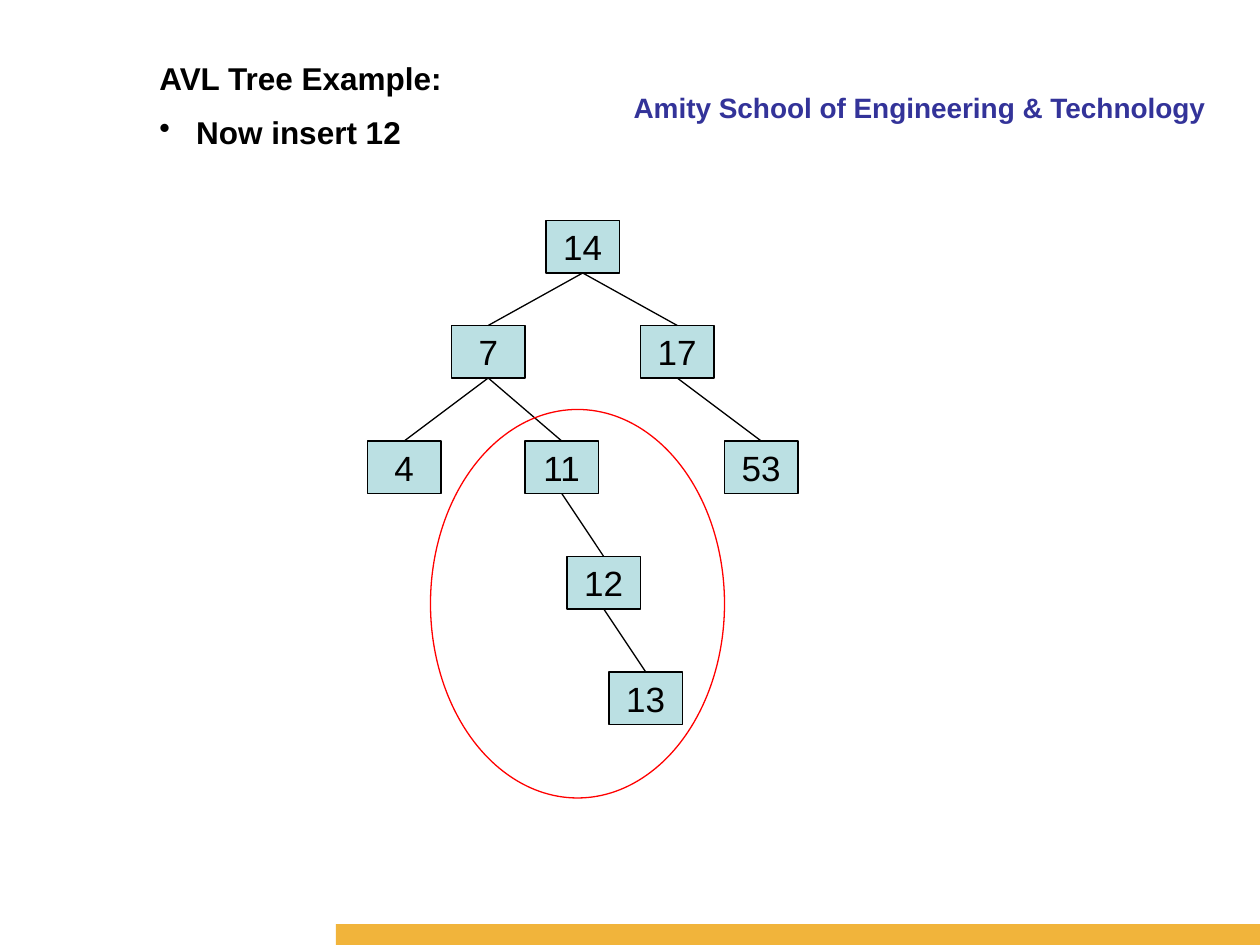
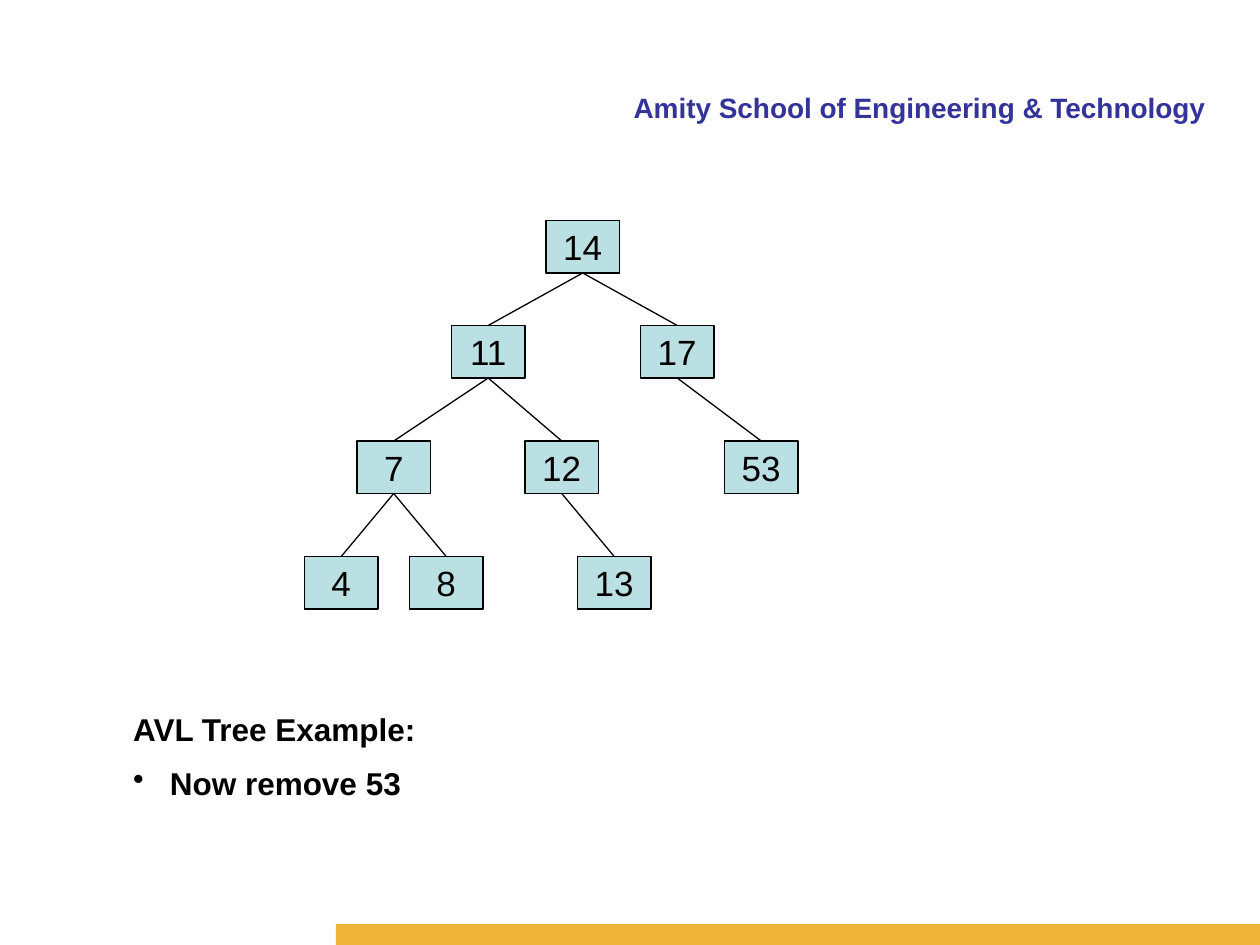
from dataclasses import dataclass

from lxml import etree
from pptx import Presentation
from pptx.dml.color import RGBColor
from pptx.enum.shapes import MSO_CONNECTOR, MSO_SHAPE
from pptx.enum.text import MSO_ANCHOR, PP_ALIGN
from pptx.oxml.ns import qn
from pptx.util import Emu, Pt

RECTANGLE = MSO_SHAPE.RECTANGLE
OVAL = MSO_SHAPE.OVAL
STRAIGHT = MSO_CONNECTOR.STRAIGHT
TOP = MSO_ANCHOR.TOP
MIDDLE = MSO_ANCHOR.MIDDLE
LEFT = PP_ALIGN.LEFT
CENTER = PP_ALIGN.CENTER
RIGHT = PP_ALIGN.RIGHT
BOTTOM_SIDE, TOP_SIDE = 2, 0

EMU_PER_PX = 7620
PAGE_WIDTH, PAGE_HEIGHT = 1200, 900
NODE_WIDTH, NODE_HEIGHT = 70, 50
LEVEL_TOPS = (210, 310, 420, 530, 640)
BULLET_INDENT = 35


@dataclass(frozen=True)
class Theme:
    font: str = "Arial"
    school: str = "333399"
    band: str = "F1B43B"
    node: str = "BBE0E3"
    ink: str = "000000"
    highlight: str = "FF0000"
    school_size: int = 16
    caption_size: int = 18
    node_size: int = 20
    caption_gap: float = 9.5
    line_width: float = 0.75


def px(length):
    return Emu(length * EMU_PER_PX)


def rgb(colour):
    return RGBColor.from_string(colour)


class TreeDeck:
    def __init__(self, theme):
        self.theme = theme
        self.deck = Presentation()
        self.deck.slide_width = px(PAGE_WIDTH)
        self.deck.slide_height = px(PAGE_HEIGHT)
        self.page = None

    def add_page(self):
        self.page = self.deck.slides.add_slide(self.deck.slide_layouts[6])
        header = self.text_box(490, 80, 670, 40)
        header.text = "Amity School of Engineering & Technology"
        self.style_text(header, self.theme.school_size, self.theme.school, True, RIGHT)
        self.shape(RECTANGLE, 320, 880, 880, 20, fill=self.theme.band)

    def text_box(self, left, top, width, height):
        box = self.page.shapes.add_textbox(px(left), px(top), px(width), px(height))
        box.text_frame.word_wrap = True
        box.text_frame.vertical_anchor = TOP
        return box.text_frame

    def style_text(self, frame, size, colour, bold, alignment):
        for para in frame.paragraphs:
            para.alignment = alignment
            for span in para.runs:
                span.font.name = self.theme.font
                span.font.size = Pt(size)
                span.font.bold = bold
                span.font.color.rgb = rgb(colour)

    def shape(self, kind, left, top, width, height, fill=None, line=None):
        shape = self.page.shapes.add_shape(kind, px(left), px(top), px(width), px(height))
        shape.shadow.inherit = False
        if fill:
            shape.fill.solid()
            shape.fill.fore_color.rgb = rgb(fill)
        else:
            shape.fill.background()
        if line:
            shape.line.color.rgb = rgb(line)
            shape.line.width = Pt(self.theme.line_width)
        else:
            shape.line.fill.background()
        return shape

    def caption(self, left, top, step):
        frame = self.text_box(left, top, 940, 102)
        frame.text = "AVL Tree Example:"
        para = frame.add_paragraph()
        para.text = step
        para.space_before = Pt(self.theme.caption_gap)
        properties = para._p.get_or_add_pPr()
        properties.set("marL", str(px(BULLET_INDENT)))
        properties.set("indent", str(-px(BULLET_INDENT)))
        etree.SubElement(properties, qn("a:buChar"), char="•")
        self.style_text(frame, self.theme.caption_size, self.theme.ink, True, LEFT)

    def node(self, value, left, level):
        node = self.shape(RECTANGLE, left, LEVEL_TOPS[level], NODE_WIDTH, NODE_HEIGHT,
                          self.theme.node, self.theme.ink)
        frame = node.text_frame
        frame.text = str(value)
        frame.word_wrap = False
        frame.vertical_anchor = MIDDLE
        self.style_text(frame, self.theme.node_size, self.theme.ink, False, CENTER)
        return node

    def edge(self, parent, child):
        edge = self.page.shapes.add_connector(STRAIGHT, 0, 0, 0, 0)
        edge.begin_connect(parent, BOTTOM_SIDE)
        edge.end_connect(child, TOP_SIDE)
        edge.line.color.rgb = rgb(self.theme.ink)
        edge.line.width = Pt(self.theme.line_width)
        etree.SubElement(edge._element.spPr, qn("a:effectLst"))

    def tree(self, entries):
        nodes = {}
        for value, left, level, parent in entries:
            nodes[value] = self.node(value, left, level)
            if parent is not None:
                self.edge(nodes[parent], nodes[value])

    def highlight(self, left, top, width, height):
        self.shape(OVAL, left, top, width, height, line=self.theme.highlight)

    def save(self):
        self.deck.save("out.pptx")


TREE_AFTER_INSERT = (
    (14, 520, 0, None),
    (7, 430, 1, 14),
    (17, 610, 1, 14),
    (4, 350, 2, 7),
    (11, 500, 2, 7),
    (53, 690, 2, 17),
    (12, 540, 3, 11),
    (13, 580, 4, 12),
)

TREE_BEFORE_REMOVAL = (
    (14, 520, 0, None),
    (11, 430, 1, 14),
    (17, 610, 1, 14),
    (7, 340, 2, 11),
    (12, 500, 2, 11),
    (53, 690, 2, 17),
    (4, 290, 3, 7),
    (8, 390, 3, 7),
    (13, 550, 3, 12),
)


def main():
    deck = TreeDeck(Theme())

    deck.add_page()
    deck.caption(140, 50, "Now insert 12")
    deck.tree(TREE_AFTER_INSERT)
    deck.highlight(410, 390, 280, 370)

    deck.add_page()
    deck.caption(115, 670, "Now remove 53")
    deck.tree(TREE_BEFORE_REMOVAL)

    deck.save()


if __name__ == "__main__":
    main()
